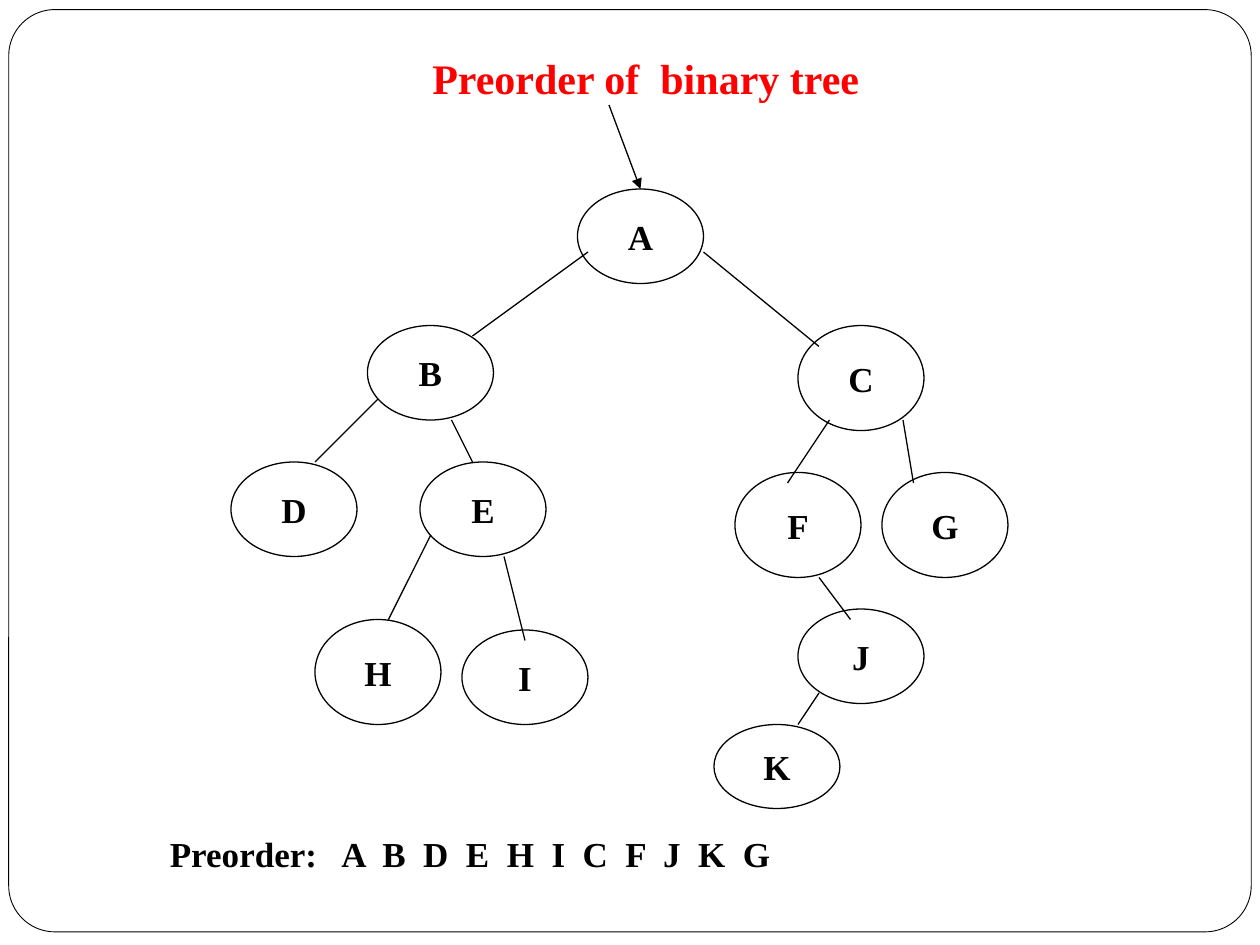
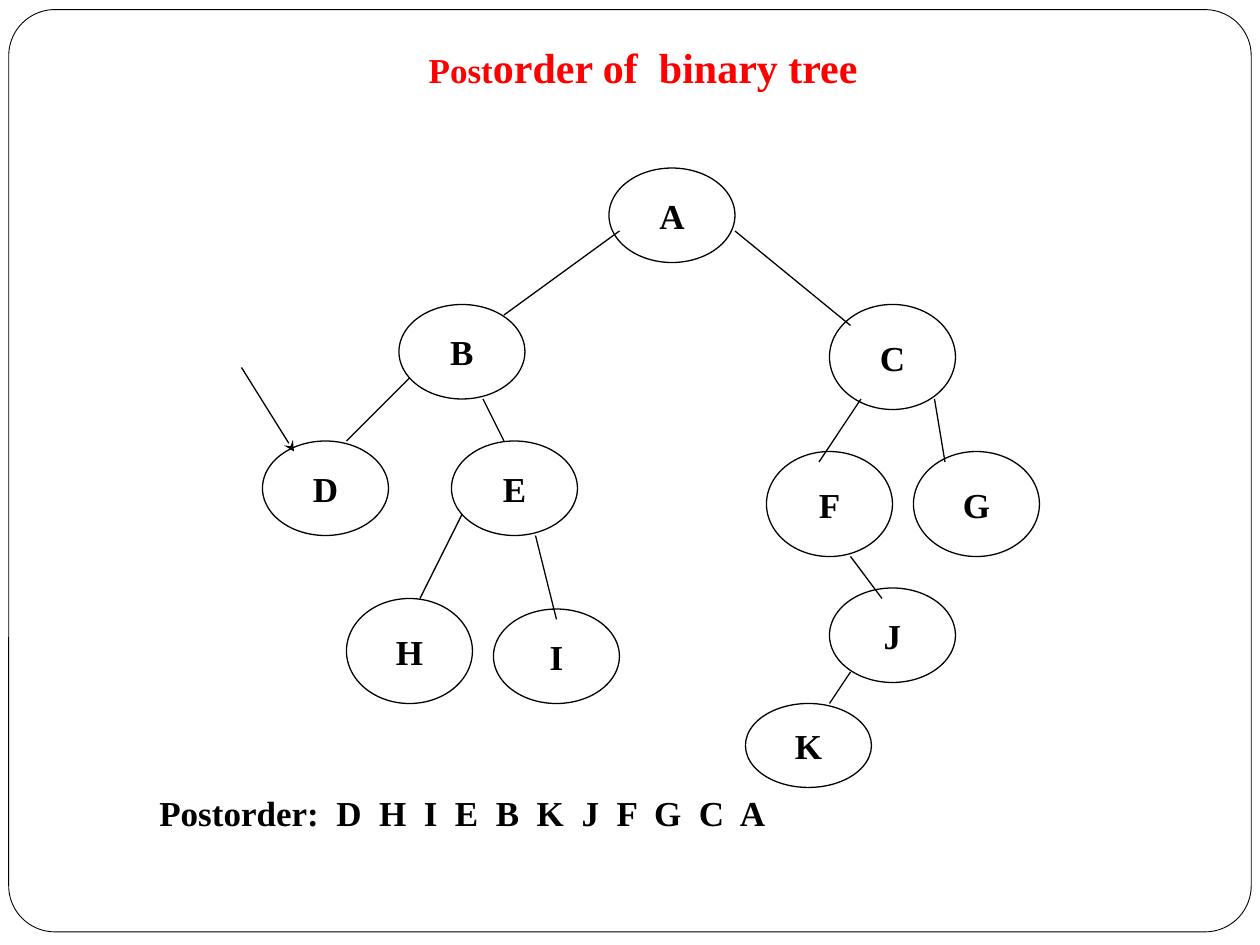
from dataclasses import dataclass

from lxml import etree
from pptx import Presentation
from pptx.dml.color import RGBColor
from pptx.enum.shapes import MSO_CONNECTOR, MSO_SHAPE
from pptx.enum.text import MSO_ANCHOR, MSO_AUTO_SIZE, PP_ALIGN
from pptx.oxml.ns import qn
from pptx.util import Pt

OVAL, ROUNDED = MSO_SHAPE.OVAL, MSO_SHAPE.ROUNDED_RECTANGLE
STRAIGHT = MSO_CONNECTOR.STRAIGHT
LEFT, CENTER = PP_ALIGN.LEFT, PP_ALIGN.CENTER
TOP, MIDDLE, BOTTOM = MSO_ANCHOR.TOP, MSO_ANCHOR.MIDDLE, MSO_ANCHOR.BOTTOM
GROW, FIXED = MSO_AUTO_SIZE.SHAPE_TO_FIT_TEXT, MSO_AUTO_SIZE.NONE


@dataclass(frozen=True)
class Theme:
    font: str = "Times New Roman"
    ink: RGBColor = RGBColor(0x00, 0x00, 0x00)
    paper: RGBColor = RGBColor(0xFF, 0xFF, 0xFF)
    title: RGBColor = RGBColor(0xFF, 0x00, 0x00)
    title_size: int = 24
    body_size: int = 20
    line: float = 0.75
    frame_line: float = 0.5


THEME = Theme()

# The tree: left, top and height of each node, then the branches between them
NODE_WIDTH = 72
NODES = {
    "A": (330, 108, 54), "B": (210, 186, 54), "C": (456, 186, 60),
    "D": (132, 264, 54), "E": (240, 264, 54), "F": (420, 270, 60),
    "G": (504, 270, 60), "H": (180, 354, 60), "I": (264, 360, 54),
    "J": (456, 348, 54), "K": (408, 414, 48),
}
BRANCHES = {
    "AB": (336, 144, 270, 192), "AC": (402, 144, 468, 198),
    "BD": (216, 228, 180, 264), "BE": (258, 240, 270, 264),
    "EH": (246, 306, 222, 354), "EI": (288, 318, 300, 366),
    "CF": (474, 240, 450, 276), "CG": (516, 240, 522, 276),
    "FJ": (468, 330, 486, 354), "JK": (468, 396, 456, 414),
}

TRAVERSALS = [
    dict(title=[("Preorder of  binary tree", THEME.title_size)],
         title_height=44.64, title_indent=18, shift=(0, 0),
         order="Preorder:   A  B  D  E  H  I  C  F  J  K  G",
         order_box=(90, 472.3, 366, 31.7), order_wraps=True,
         start=(348, 60, 366, 108), arrowhead="triangle"),
    dict(title=[("Post", THEME.body_size),
                ("order of  binary tree", THEME.title_size)],
         title_height=38.16, title_indent=15, shift=(18, -12),
         order="Postorder:  D  H  I  E  B  K  J  F  G  C  A",
         order_box=(84, 448.5, 363, 31.7), order_wraps=False,
         start=(138, 210, 168, 258), arrowhead="stealth"),
]


def write_text(shape, runs, color=THEME.ink, align=CENTER, anchor=MIDDLE,
               wrap=False, fit=FIXED, indent=0, bottom=3.6):
    """Fill a shape with one paragraph of (text, size) runs."""
    frame = shape.text_frame
    frame.word_wrap, frame.auto_size, frame.vertical_anchor = wrap, fit, anchor
    frame.margin_left, frame.margin_right = Pt(7.2 + indent), Pt(7.2)
    frame.margin_top, frame.margin_bottom = Pt(3.6), Pt(bottom)
    paragraph = frame.paragraphs[0]
    paragraph.alignment = align
    for text, size in runs:
        run = paragraph.add_run()
        run.text = text
        run.font.name, run.font.size, run.font.bold = THEME.font, Pt(size), True
        run.font.color.rgb = color


def draw_line(slide, ends, arrowhead=None):
    line = slide.shapes.add_connector(STRAIGHT, *map(Pt, ends))
    line.line.color.rgb = THEME.ink
    line.line.width = Pt(THEME.line)
    if arrowhead:
        etree.SubElement(line.line._get_or_add_ln(), qn("a:tailEnd"), type=arrowhead)
    etree.SubElement(line._element.spPr, qn("a:effectLst"))


prs = Presentation()
prs.slide_width, prs.slide_height = Pt(720), Pt(540)
blank = prs.slide_layouts[6]

for traversal in TRAVERSALS:
    slide = prs.slides.add_slide(blank)
    dx, dy = traversal["shift"]

    # Page frame
    border = slide.shapes.add_shape(ROUNDED, Pt(5), Pt(5.5), Pt(710), Pt(527))
    border.adjustments[0] = 0.05
    border.shadow.inherit = False
    border.fill.background()
    border.line.color.rgb = THEME.ink
    border.line.width = Pt(THEME.frame_line)

    # Title
    heading = slide.shapes.add_textbox(
        Pt(36), Pt(21.6), Pt(648), Pt(traversal["title_height"]))
    write_text(heading, traversal["title"], color=THEME.title, anchor=BOTTOM,
               wrap=True, indent=traversal["title_indent"], bottom=7.2)

    # Tree nodes
    for letter, (left, top, height) in NODES.items():
        node = slide.shapes.add_shape(
            OVAL, Pt(left + dx), Pt(top + dy), Pt(NODE_WIDTH), Pt(height))
        node.shadow.inherit = False
        node.fill.solid()
        node.fill.fore_color.rgb = THEME.paper
        node.line.color.rgb = THEME.ink
        node.line.width = Pt(THEME.line)
        write_text(node, [(letter, THEME.body_size)])

    # Branches
    for x1, y1, x2, y2 in BRANCHES.values():
        draw_line(slide, (x1 + dx, y1 + dy, x2 + dx, y2 + dy))

    # Visiting order
    order = slide.shapes.add_textbox(*map(Pt, traversal["order_box"]))
    order.fill.solid()
    order.fill.fore_color.rgb = THEME.paper
    write_text(order, [(traversal["order"], THEME.body_size)], align=LEFT,
               anchor=TOP, wrap=traversal["order_wraps"], fit=GROW)

    # Arrow to the first node visited
    draw_line(slide, traversal["start"], traversal["arrowhead"])

prs.save("out.pptx")
